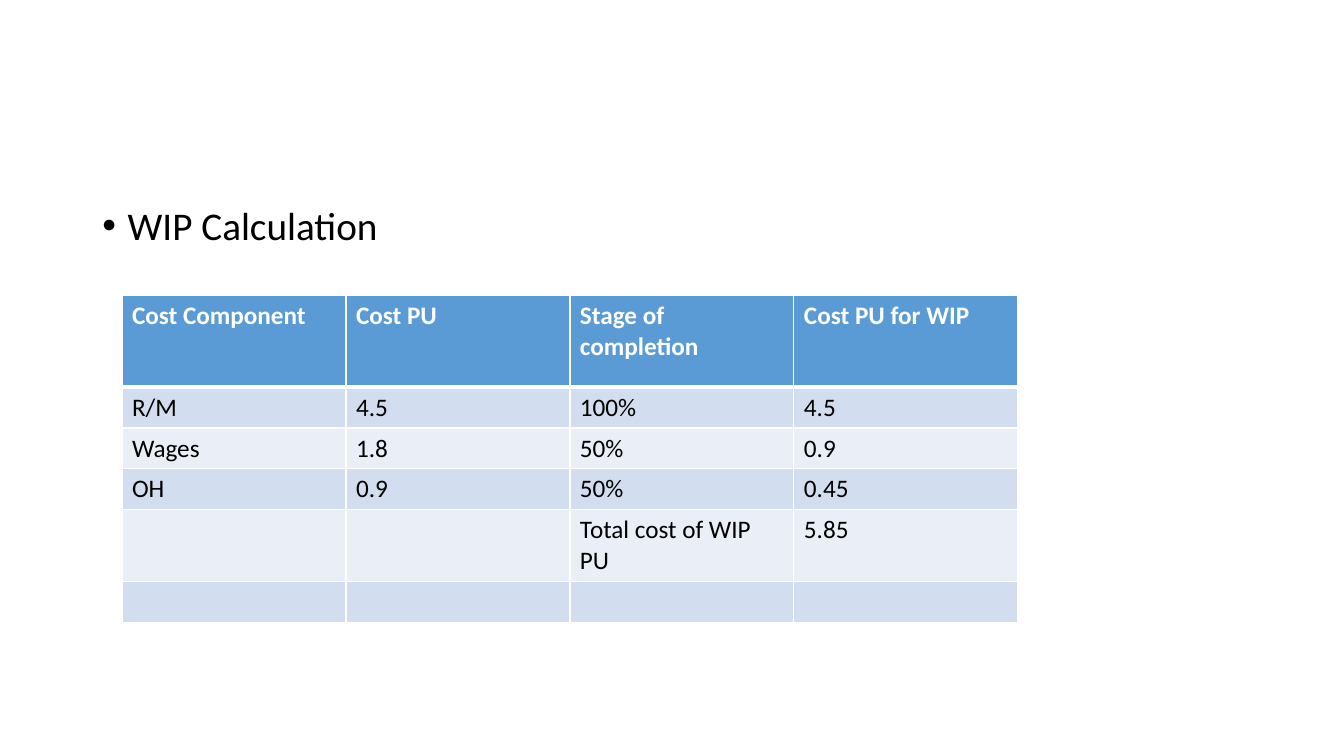
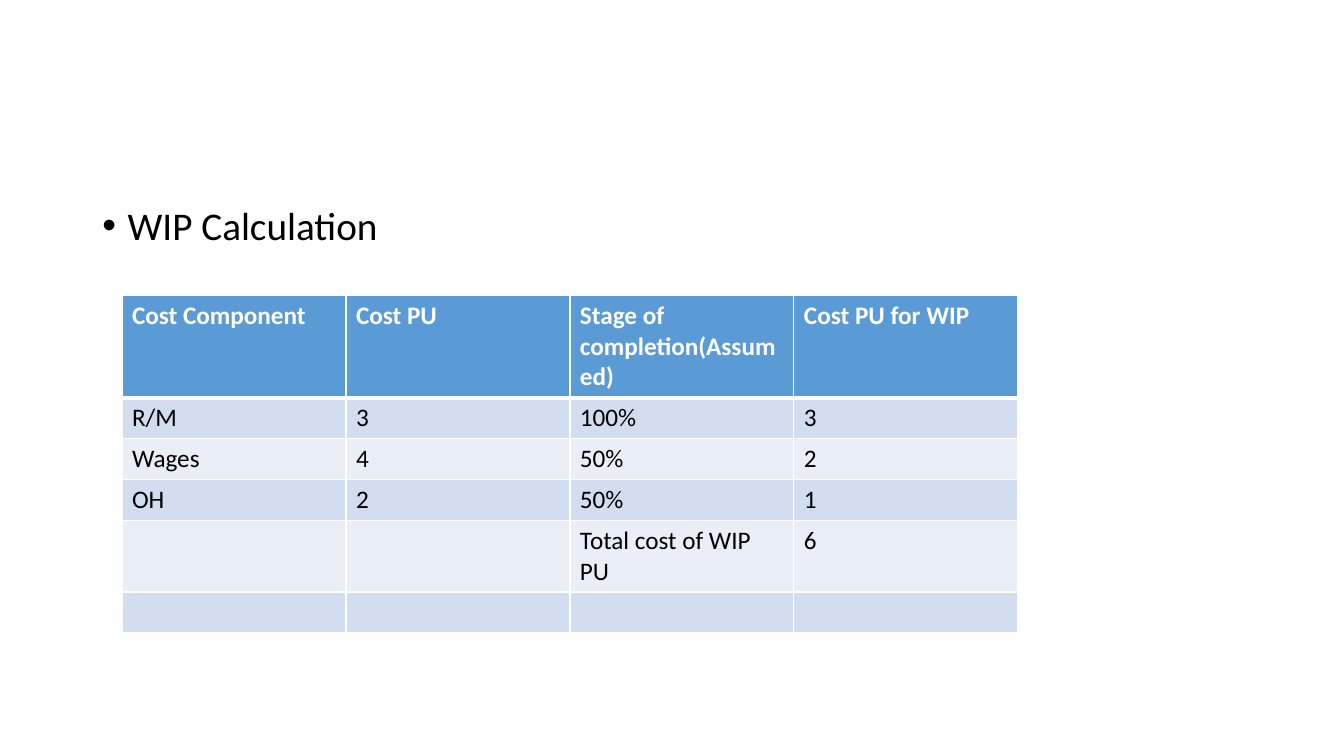
from dataclasses import dataclass

from lxml.etree import SubElement
from pptx import Presentation
from pptx.dml.color import RGBColor
from pptx.oxml.ns import qn
from pptx.presentation import Presentation as Deck
from pptx.slide import Slide
from pptx.table import _Cell
from pptx.util import Pt

COLOURS = {
    "text": "000000",
    "header": "5B9BD5",
    "odd_row": "D2DEEF",
    "even_row": "EAEFF7",
    "white": "FFFFFF",
}
FONT = "Calibri"
HEADING = "WIP Calculation"
BULLET_INDENT = Pt(18)
COLUMN_WIDTH = Pt(160)
HEADER_HEIGHT = Pt(65.5)
ROW_HEIGHT = Pt(29.2)
TABLE_LEFT, TABLE_TOP = Pt(87.1), Pt(211)


@dataclass(frozen=True)
class CostLine:
    component: str = ""
    unit_cost: str = ""
    stage: str = ""
    wip_cost: str = ""

    def texts(self) -> tuple[str, ...]:
        return self.component, self.unit_cost, self.stage, self.wip_cost


@dataclass(frozen=True)
class Calculation:
    stage_heading: str
    costs: tuple[CostLine, ...]
    total: str

    def lines(self) -> list[CostLine]:
        """Return header, costs, total and the closing empty row."""
        return [
            CostLine("Cost Component", "Cost PU", self.stage_heading, "Cost PU for WIP"),
            *self.costs,
            CostLine(stage="Total cost of WIP PU", wip_cost=self.total),
            CostLine(),
        ]


CALCULATIONS = (
    Calculation(
        "Stage of completion",
        (
            CostLine("R/M", "4.5", "100%", "4.5"),
            CostLine("Wages", "1.8", "50%", "0.9"),
            CostLine("OH", "0.9", "50%", "0.45"),
        ),
        "5.85",
    ),
    Calculation(
        "Stage of completion(Assumed)",
        (
            CostLine("R/M", "3", "100%", "3"),
            CostLine("Wages", "4", "50%", "2"),
            CostLine("OH", "2", "50%", "1"),
        ),
        "6",
    ),
)


def colour(name: str) -> RGBColor:
    return RGBColor.from_string(COLOURS[name])


def add_heading(slide: Slide) -> None:
    body = slide.placeholders[1]
    body.left, body.top, body.width, body.height = Pt(66), Pt(144), Pt(828), Pt(342.6)
    paragraph = body.text_frame.paragraphs[0]
    paragraph.text = HEADING
    paragraph.line_spacing = 0.9
    paragraph.space_before = Pt(10)
    paragraph.font.name = FONT
    paragraph.font.size = Pt(28)
    paragraph.font.color.rgb = colour("text")
    properties = paragraph._p.get_or_add_pPr()
    properties.set("marL", str(BULLET_INDENT))
    properties.set("indent", str(-BULLET_INDENT))


def set_borders(cell: _Cell, top: float, bottom: float) -> None:
    """Draw white cell borders; side borders are always one point wide."""
    properties = cell._tc.get_or_add_tcPr()
    for side, width in (("L", 1), ("R", 1), ("T", top), ("B", bottom)):
        line = SubElement(properties, qn(f"a:ln{side}"), w=str(Pt(width)))
        fill = SubElement(line, qn("a:solidFill"))
        SubElement(fill, qn("a:srgbClr"), val=COLOURS["white"])


def format_cell(cell: _Cell, text: str, row: int) -> None:
    is_header = row == 0
    set_borders(cell, top=3 if row == 1 else 1, bottom=3 if is_header else 1)
    cell.fill.solid()
    fill_name = "header" if is_header else "odd_row" if row % 2 else "even_row"
    cell.fill.fore_color.rgb = colour(fill_name)
    cell.text = text
    font = cell.text_frame.paragraphs[0].font
    font.name = FONT
    font.size = Pt(18)
    font.bold = is_header
    font.color.rgb = colour("white" if is_header else "text")


def add_cost_table(slide: Slide, calculation: Calculation) -> None:
    lines = calculation.lines()
    column_count = len(lines[0].texts())
    height = HEADER_HEIGHT + ROW_HEIGHT * (len(lines) - 1)
    table = slide.shapes.add_table(
        len(lines), column_count, TABLE_LEFT, TABLE_TOP, COLUMN_WIDTH * column_count, height
    ).table
    for row, line in enumerate(lines):
        table.rows[row].height = ROW_HEIGHT if row else HEADER_HEIGHT
        for column, text in enumerate(line.texts()):
            format_cell(table.cell(row, column), text, row)


def add_calculation_slide(presentation: Deck, calculation: Calculation) -> None:
    slide = presentation.slides.add_slide(presentation.slide_layouts[1])
    title = slide.shapes.title.element
    title.getparent().remove(title)
    add_heading(slide)
    add_cost_table(slide, calculation)


def main() -> None:
    presentation = Presentation()
    presentation.slide_width, presentation.slide_height = Pt(960), Pt(540)
    for calculation in CALCULATIONS:
        add_calculation_slide(presentation, calculation)
    presentation.save("out.pptx")


if __name__ == "__main__":
    main()
